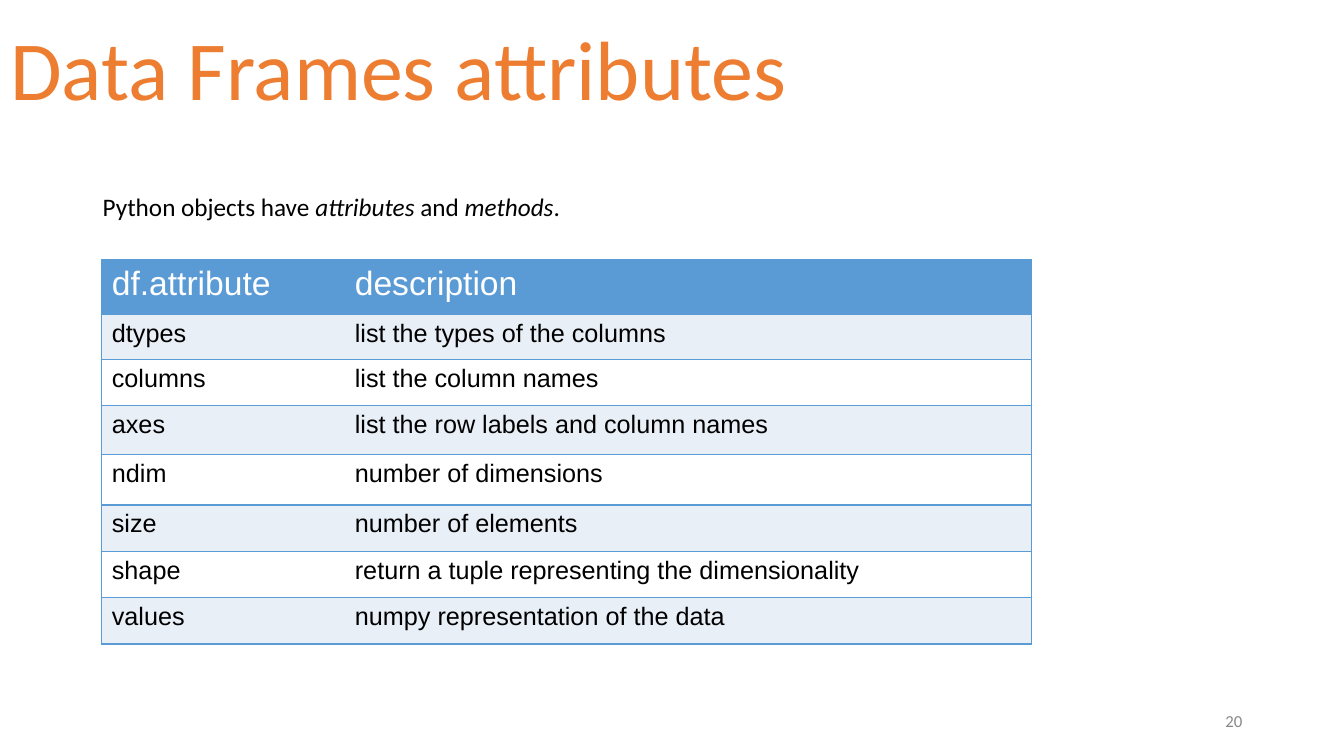
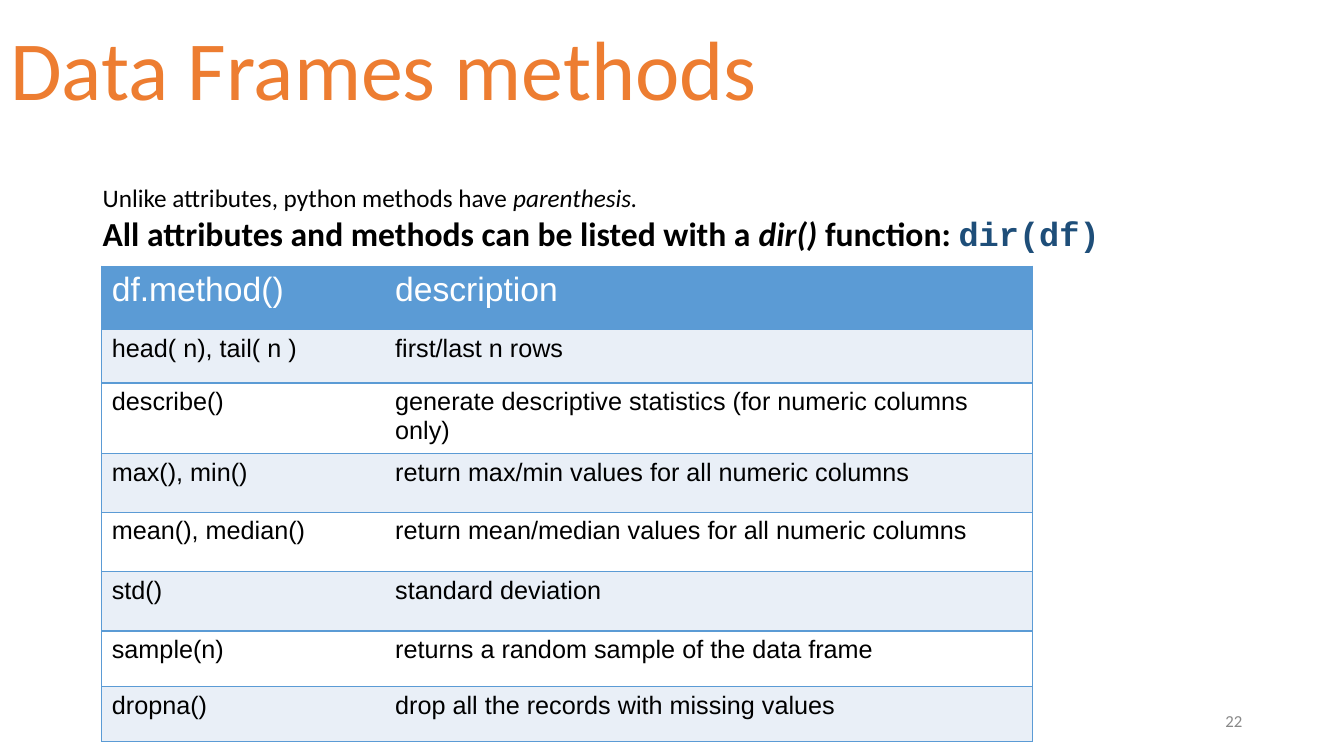
from lxml.etree import SubElement
from pptx import Presentation
from pptx.dml.color import RGBColor
from pptx.enum.text import MSO_ANCHOR, MSO_AUTO_SIZE, PP_ALIGN
from pptx.oxml.ns import qn
from pptx.util import Inches, Pt

ORANGE = RGBColor(0xED, 0x7D, 0x31)
BLUE = RGBColor(0x5B, 0x9B, 0xD5)
DARK_BLUE = RGBColor(0x1E, 0x4E, 0x79)
PALE_BLUE = RGBColor(0xE9, 0xEF, 0xF7)
GREY = RGBColor(0x88, 0x88, 0x88)
BLACK = RGBColor(0, 0, 0)
WHITE = RGBColor(0xFF, 0xFF, 0xFF)

TITLE = {"name": "Calibri", "size": Pt(60), "color": ORANGE}
PAGE_NUMBER = {"name": "Calibri", "size": Pt(12), "color": GREY}
INTRO = {"name": "Calibri", "size": Pt(18), "color": BLACK}
INTRO_ITALIC = {**INTRO, "italic": True}
KEY = {**INTRO, "size": Pt(24), "bold": True}
KEY_ITALIC = {**KEY, "italic": True}
CODE = {**KEY, "name": "Courier New", "color": DARK_BLUE}
HEADER_CELL = {"name": "Arial", "size": Pt(24), "color": WHITE, "bold": False}
BODY_CELL = {"name": "Arial", "size": Pt(18), "color": BLACK, "bold": False}

TITLE_BOX = (0, 0, 11.5, 1.45)
PAGE_NUMBER_BOX = (9.42, 6.95, 3, 0.4)
TABLE_LEFT = 1.01

SLIDES = [
    {
        "title": "Data Frames attributes",
        "page": "20",
        "intro_box": (0.92, 1.85, 8.19, 0.4),
        "intro": [
            [("Python objects have ", INTRO), ("attributes", INTRO_ITALIC),
             (" and ", INTRO), ("methods", INTRO_ITALIC), (".", INTRO)],
        ],
        "table_top": 2.58,
        "column_widths": (2.41, 6.81),
        "row_heights": (0.54, 0.45, 0.45, 0.49, 0.5, 0.46, 0.46, 0.46),
        "rows": [
            ("df.attribute", "description"),
            ("dtypes", "list the types of the columns"),
            ("columns", "list the column names"),
            ("axes", "list the row labels and column names"),
            ("ndim", "number of dimensions"),
            ("size", "number of elements"),
            ("shape", "return a tuple representing the dimensionality"),
            ("values", "numpy representation of the data"),
        ],
    },
    {
        "title": "Data Frames methods",
        "page": "22",
        "intro_box": (0.92, 1.76, 10.77, 0.81),
        "intro": [
            [("Unlike attributes, python methods have ", INTRO),
             ("parenthesis.", INTRO_ITALIC)],
            [("All attributes and methods can be listed with a ", KEY),
             ("dir() ", KEY_ITALIC), ("function: ", KEY), ("dir(df)", CODE)],
        ],
        "table_top": 2.64,
        "column_widths": (2.81, 6.42),
        "row_heights": (0.63, 0.53, 0.53, 0.58, 0.59, 0.59, 0.55, 0.55),
        "rows": [
            ("df.method()", "description"),
            ("head( n), tail( n )", "first/last n rows"),
            ("describe()", "generate descriptive statistics (for numeric columns only)"),
            ("max(), min()", "return max/min values for all numeric columns"),
            ("mean(), median()", "return mean/median values for all numeric columns"),
            ("std()", "standard deviation"),
            ("sample(n)", "returns a random sample of the data frame"),
            ("dropna()", "drop all the records with missing values"),
        ],
    },
]


def add_run(paragraph, text, style):
    run = paragraph.add_run()
    run.text = text
    for name, value in style.items():
        if name == "color":
            run.font.color.rgb = value
        else:
            setattr(run.font, name, value)


def add_title(slide, text):
    title = slide.shapes.title
    for name, value in zip(("left", "top", "width", "height"), TITLE_BOX):
        setattr(title, name, Inches(value))
    frame = title.text_frame
    frame.auto_size = MSO_AUTO_SIZE.NONE
    frame.vertical_anchor = MSO_ANCHOR.MIDDLE
    paragraph = frame.paragraphs[0]
    paragraph.alignment = PP_ALIGN.LEFT
    paragraph.line_spacing = 0.9
    add_run(paragraph, text, TITLE)


def add_text(slide, box, lines, anchor=MSO_ANCHOR.TOP, alignment=PP_ALIGN.LEFT):
    """Add a text box; each line is a list of (text, style) runs."""
    frame = slide.shapes.add_textbox(*map(Inches, box)).text_frame
    frame.word_wrap = True
    frame.vertical_anchor = anchor
    for index, runs in enumerate(lines):
        paragraph = frame.add_paragraph() if index else frame.paragraphs[0]
        paragraph.alignment = alignment
        for text, style in runs:
            add_run(paragraph, text, style)


def set_borders(cell, visible_sides):
    """Draw the named sides (L, R, T, B) in blue and clear the others."""
    properties = cell._tc.get_or_add_tcPr()
    for side in "LRTB":
        line = SubElement(properties, qn(f"a:ln{side}"), w=str(Pt(1)))
        if side in visible_sides:
            fill = SubElement(line, qn("a:solidFill"))
            SubElement(fill, qn("a:srgbClr"), val=str(BLUE))
        else:
            SubElement(line, qn("a:noFill"))


def add_description_table(slide, content):
    rows, widths, heights = (
        content[key] for key in ("rows", "column_widths", "row_heights"))
    table = slide.shapes.add_table(
        len(rows), len(widths), Inches(TABLE_LEFT), Inches(content["table_top"]),
        Inches(sum(widths)), Inches(sum(heights))).table
    for column, width in zip(table.columns, widths):
        column.width = Inches(width)
    for row_index, (row, height, texts) in enumerate(zip(table.rows, heights, rows)):
        row.height = Inches(height)
        if row_index == 0:
            fill, style = BLUE, HEADER_CELL
        else:
            fill, style = (PALE_BLUE if row_index % 2 else WHITE), BODY_CELL
        for cell, text, outer_side in zip(row.cells, texts, "LR"):
            set_borders(cell, "TB" + outer_side)
            cell.fill.solid()
            cell.fill.fore_color.rgb = fill
            add_run(cell.text_frame.paragraphs[0], text, style)


def main():
    presentation = Presentation()
    presentation.slide_width = Inches(13.33)
    presentation.slide_height = Inches(7.5)
    title_only = presentation.slide_layouts.get_by_name("Title Only")
    for content in SLIDES:
        slide = presentation.slides.add_slide(title_only)
        add_title(slide, content["title"])
        add_text(slide, PAGE_NUMBER_BOX, [[(content["page"], PAGE_NUMBER)]],
                 MSO_ANCHOR.MIDDLE, PP_ALIGN.RIGHT)
        add_text(slide, content["intro_box"], content["intro"])
        add_description_table(slide, content)
    presentation.save("out.pptx")


if __name__ == "__main__":
    main()
